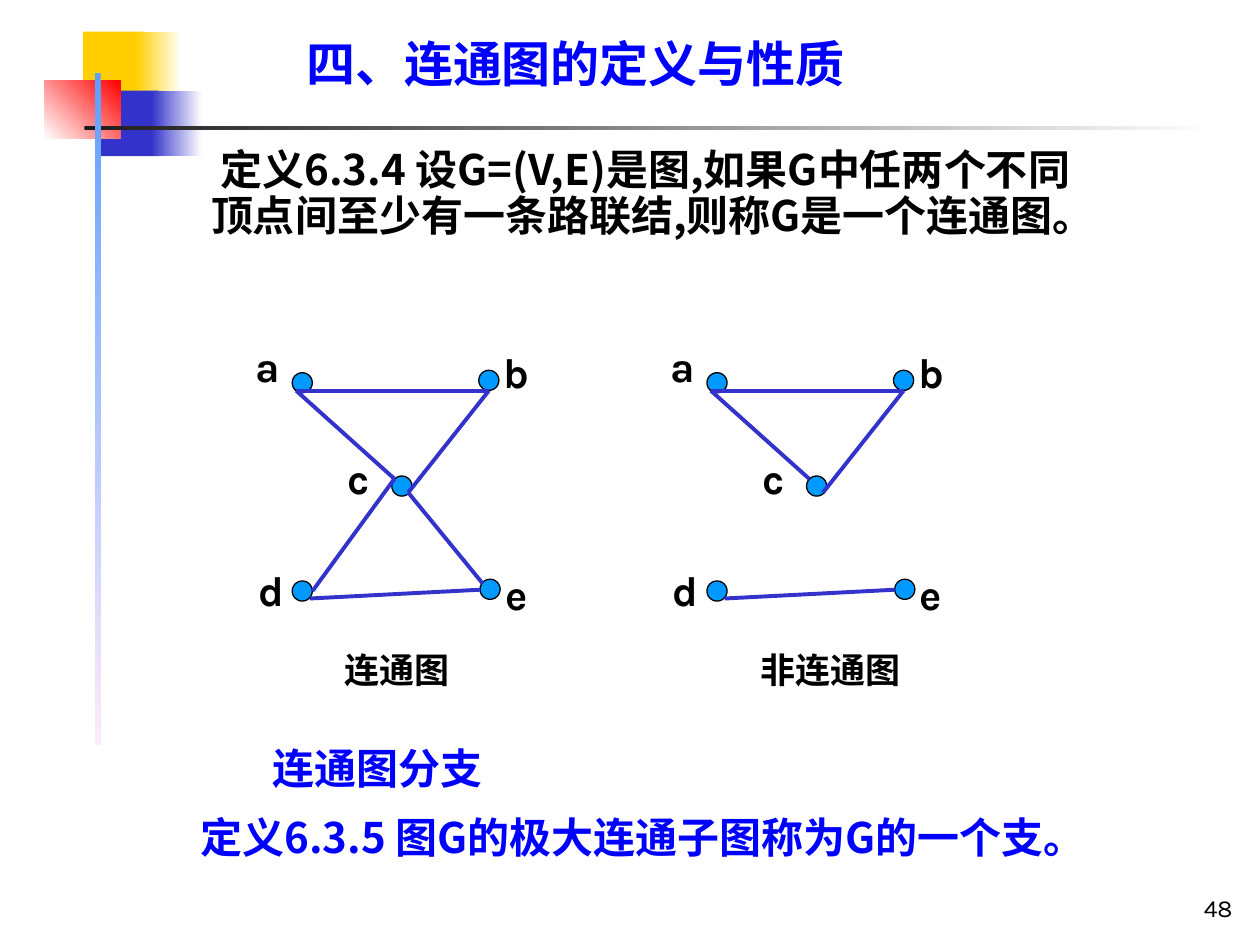
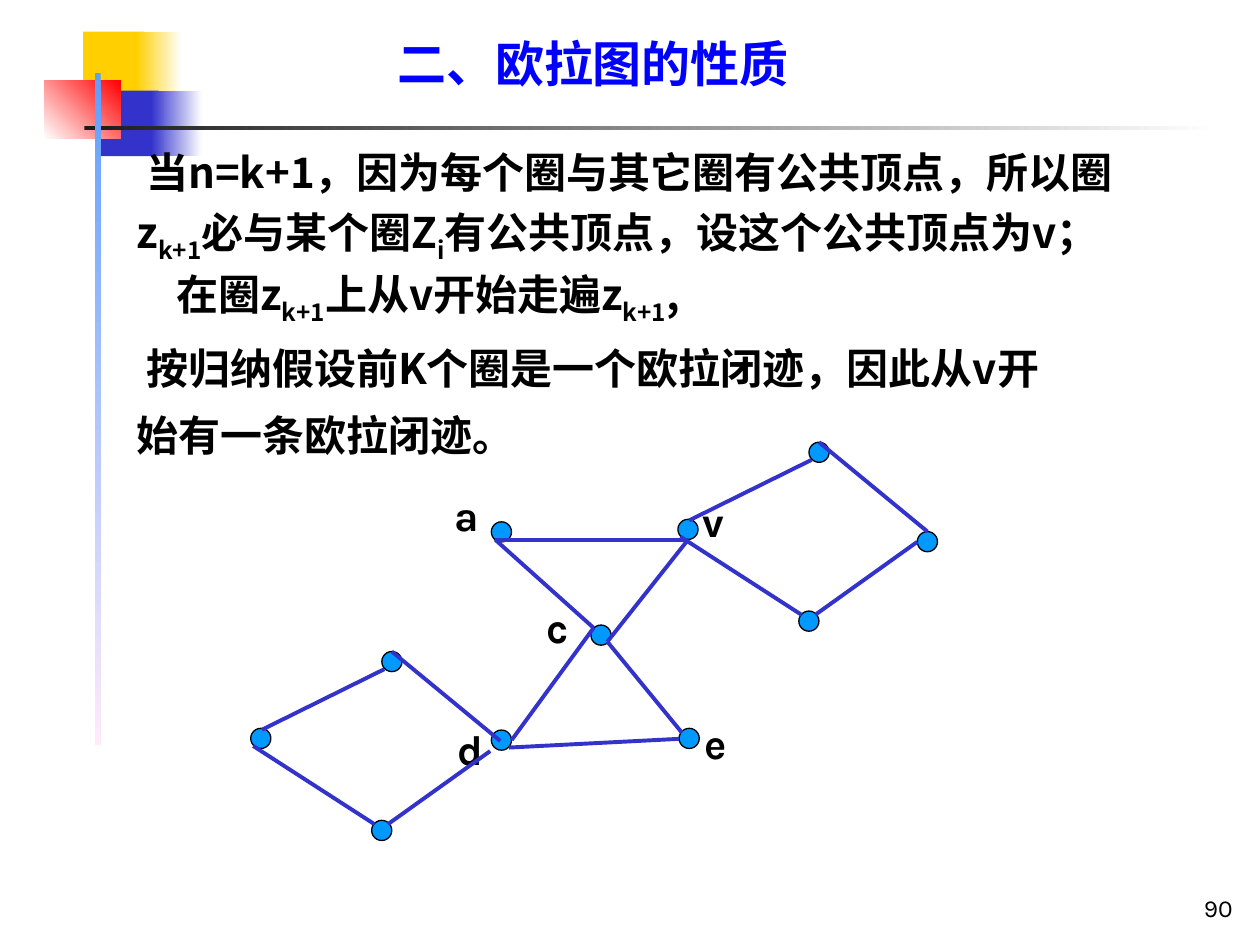
from dataclasses import dataclass
from typing import NamedTuple

from pptx import Presentation
from pptx.dml.color import RGBColor
from pptx.enum.shapes import MSO_CONNECTOR, MSO_SHAPE
from pptx.enum.text import MSO_ANCHOR, PP_ALIGN
from pptx.oxml.ns import qn
from pptx.oxml.xmlchemy import OxmlElement
from pptx.slide import Slide
from pptx.util import Pt

RECTANGLE, OVAL = MSO_SHAPE.RECTANGLE, MSO_SHAPE.OVAL
STRAIGHT = MSO_CONNECTOR.STRAIGHT
TOP, BOTTOM = MSO_ANCHOR.TOP, MSO_ANCHOR.BOTTOM
LEFT, RIGHT = PP_ALIGN.LEFT, PP_ALIGN.RIGHT


@dataclass(frozen=True)
class Theme:
    """Colours, fonts and sizes used on every slide."""

    black: str = "000000"
    white: str = "FFFFFF"
    blue: str = "0000FF"
    edge: str = "3333CC"
    dot: str = "0099FF"
    yellow: str = "FFCF01"
    red: str = "FF0000"
    charcoal: str = "1C1C1C"
    sky: str = "5E9EFF"
    pink: str = "FFEBFA"
    cjk: str = "Noto Sans CJK SC"
    latin: str = "Karla"
    serif: str = "Times New Roman"
    title_size: float = 28
    body_size: float = 24
    caption_size: float = 20
    number_size: float = 14
    dot_size: float = 11.5
    edge_width: float = 2.25
    outline_width: float = 0.75


THEME = Theme()


class Point(NamedTuple):
    """A place on the slide, in points."""

    x: float
    y: float


class Frame(NamedTuple):
    """A rectangle on the slide, in points."""

    left: float
    top: float
    width: float
    height: float


class Edge(NamedTuple):
    """A straight line between two places."""

    start: Point
    end: Point


class Band(NamedTuple):
    """A decorative rectangle, graded when it has an end colour."""

    frame: Frame
    color: str
    end_color: str = ""
    angle: float = 0


class Label(NamedTuple):
    """Offset and width of a vertex name."""

    offset: Point
    width: float


class Span(NamedTuple):
    """A piece of text, optionally a subscript."""

    text: str
    is_subscript: bool = False


@dataclass(frozen=True)
class TextStyle:
    """Look of a text box."""

    size: float
    font: str
    color: str = THEME.black
    bold: bool = True
    line_height: float = 0
    margin_left: float = 0
    first_indent: float = 0
    inset: bool = True
    align: PP_ALIGN = LEFT
    anchor: MSO_ANCHOR = TOP


BODY = {"size": THEME.body_size, "font": THEME.cjk, "margin_left": 27, "inset": False}
DEFINITION = TextStyle(**BODY, line_height=26.3, first_indent=5.4)
BLUE_DEFINITION = TextStyle(**BODY, line_height=26.3, first_indent=5.4, color=THEME.blue)
HEADING = TextStyle(**BODY, line_height=26.3, first_indent=-27, color=THEME.blue)
PROOF = TextStyle(**BODY, line_height=38.5, first_indent=5.4)
PROOF_STEP = TextStyle(**BODY, line_height=38.5, first_indent=-5.4)
VERTEX_NAME = TextStyle(THEME.body_size, THEME.latin)
CAPTION = TextStyle(THEME.caption_size, THEME.latin)
NUMBER = TextStyle(THEME.number_size, THEME.latin, bold=False, align=RIGHT, anchor=BOTTOM)

BANDS = (
    Band(Frame(47.5, 18, 34.6, 37.4), THEME.yellow),
    Band(Frame(77.8, 18, 25.9, 37.4), THEME.yellow, THEME.white),
    Band(Frame(57.6, 51.8, 33.1, 37.4), THEME.edge),
    Band(Frame(86.4, 51.8, 28.8, 37.4), THEME.edge, THEME.white),
    Band(Frame(25.2, 46.1, 43.9, 33.1), THEME.white, THEME.red, 45),
    Band(Frame(48.2, 72, 648, 2.2), THEME.charcoal, THEME.white),
    Band(Frame(54, 41.8, 3.6, 383.8), THEME.sky, THEME.pink, 270),
)

BOWTIE_DOTS = {
    "a": Point(0, 0), "b": Point(106.6, -1.4), "c": Point(56.9, 59),
    "d": Point(0, 119), "e": Point(107.3, 118),
}
BOWTIE_LABELS = {
    "a": Label(Point(-28, -22.2), 28.8), "b": Label(Point(113.8, -18.6), 29.5),
    "c": Label(Point(24.5, 41.9), 26.6), "d": Label(Point(-26.6, 106), 29.5),
    "e": Label(Point(114.5, 108.1), 28.1),
}
BOWTIE_EDGES = {
    "ac": Edge(Point(2.2, 10.2), Point(58.4, 60.6)),
    "bc": Edge(Point(66.3, 68.5), Point(112.4, 10.2)),
    "ab": Edge(Point(2.2, 10.2), Point(112.4, 10.2)),
    "cd": Edge(Point(58.4, 60.6), Point(11.6, 124.7)),
    "de": Edge(Point(10.1, 129), Point(107.3, 124)),
    "ce": Edge(Point(66.3, 68.5), Point(108.8, 120.4)),
}
LOOP_DOTS = {
    "west": Point(0, 0), "south": Point(69.1, 52.6),
    "north": Point(74.9, -43.9), "east": Point(136.8, 7.2),
}
LOOP_EDGES = (
    Edge(Point(6.4, 0.8), Point(76.3, -33.8)),
    Edge(Point(80.6, -43.9), Point(142.6, 7.2)),
    Edge(Point(136.8, 13), Point(78.5, 54.7)),
    Edge(Point(1.4, 10.1), Point(70.6, 54.7)),
)


def shift(origin: Point, offset: Point) -> Point:
    """Return the place at an offset from an origin."""
    return Point(origin.x + offset.x, origin.y + offset.y)


def set_values(target: object, values: dict[str, object]) -> None:
    """Set each named attribute on the target."""
    for name, value in values.items():
        setattr(target, name, value)


def add_text(page: Slide, frame: Frame, spans: tuple[Span, ...], style: TextStyle) -> None:
    """Add a text box with one paragraph."""
    box = page.shapes.add_textbox(*map(Pt, frame))
    across, down = (Pt(7.2), Pt(3.6)) if style.inset else (0, 0)
    set_values(box.text_frame, {
        "word_wrap": True, "vertical_anchor": style.anchor,
        "margin_left": across, "margin_right": across,
        "margin_top": down, "margin_bottom": down,
    })
    para = box.text_frame.paragraphs[0]
    para.alignment = style.align
    if style.line_height:
        para.line_spacing = Pt(style.line_height)
    properties = para._p.get_or_add_pPr()
    properties.set("marL", str(Pt(style.margin_left)))
    properties.set("indent", str(Pt(style.first_indent)))
    for span in spans:
        run = para.add_run()
        run.text = span.text
        set_values(run.font, {"name": style.font, "size": Pt(style.size), "bold": style.bold})
        run.font.color.rgb = RGBColor.from_string(style.color)
        run_properties = run._r.get_or_add_rPr()
        east_asian = OxmlElement("a:ea")
        east_asian.set("typeface", THEME.cjk)
        run_properties.find(qn("a:latin")).addnext(east_asian)
        if span.is_subscript:
            run_properties.set("baseline", "-25000")


def add_band(page: Slide, band: Band) -> None:
    """Add one decorative rectangle."""
    shape = page.shapes.add_shape(RECTANGLE, *map(Pt, band.frame))
    shape.shadow.inherit = False
    shape.line.fill.background()
    if band.end_color:
        shape.fill.gradient()
        shape.fill.gradient_angle = band.angle
        for stop, color in zip(shape.fill.gradient_stops, (band.color, band.end_color)):
            stop.color.rgb = RGBColor.from_string(color)
    else:
        shape.fill.solid()
        shape.fill.fore_color.rgb = RGBColor.from_string(band.color)


def add_dot(page: Slide, place: Point) -> None:
    """Add a graph vertex."""
    dot = page.shapes.add_shape(OVAL, *map(Pt, (*place, THEME.dot_size, THEME.dot_size)))
    dot.shadow.inherit = False
    dot.fill.solid()
    dot.fill.fore_color.rgb = RGBColor.from_string(THEME.dot)
    dot.line.color.rgb = RGBColor.from_string(THEME.black)
    dot.line.width = Pt(THEME.outline_width)


def add_edge(page: Slide, origin: Point, edge: Edge) -> None:
    """Add a graph edge placed from an origin."""
    ends = (*shift(origin, edge.start), *shift(origin, edge.end))
    line = page.shapes.add_connector(STRAIGHT, *map(Pt, ends))
    line.line.color.rgb = RGBColor.from_string(THEME.edge)
    line.line.width = Pt(THEME.edge_width)
    line._element.spPr.append(OxmlElement("a:effectLst"))


def add_bowtie(page: Slide, origin: Point, edges: tuple[str, ...], names: str = "abcde",
               d_drop: float = 0) -> None:
    """Add the five-vertex graph with the chosen edges."""
    for offset in BOWTIE_DOTS.values():
        add_dot(page, shift(origin, offset))
    for name, (key, label) in zip(names, BOWTIE_LABELS.items()):
        place = shift(origin, label.offset)
        drop = d_drop if key == "d" else 0
        frame = Frame(place.x, place.y + drop, label.width, 36)
        add_text(page, frame, (Span(name),), VERTEX_NAME)
    for key in edges:
        add_edge(page, origin, BOWTIE_EDGES[key])


def add_loop(page: Slide, origin: Point, corners: tuple[str, ...]) -> None:
    """Add a four-sided cycle with dots on the chosen corners."""
    for corner in corners:
        add_dot(page, shift(origin, LOOP_DOTS[corner]))
    for edge in LOOP_EDGES:
        add_edge(page, origin, edge)


def add_page(deck: Presentation, title: str, left: float, font: str, number: str) -> Slide:
    """Add a slide with the shared bands, title and page number."""
    page = deck.slides.add_slide(deck.slide_layouts[6])
    for band in BANDS:
        add_band(page, band)
    style = TextStyle(THEME.title_size, font, THEME.blue, line_height=30, inset=False)
    add_text(page, Frame(left, 23, 361, 30), (Span(title),), style)
    add_text(page, Frame(561.6, 494.6, 149.8, 36), (Span(number),), NUMBER)
    return page


def build_connected(deck: Presentation) -> None:
    """Build the slide on connected graphs."""
    page = add_page(deck, "四、连通图的定义与性质", 175, THEME.serif, "48")
    definition = "定义6.3.4 设G=(V,E)是图,如果G中任两个不同顶点间至少有一条路联结,则称G是一个连通图。"
    add_text(page, Frame(93.6, 84.6, 532.8, 78), (Span(definition),), DEFINITION)
    add_bowtie(page, Point(167, 213), tuple(BOWTIE_EDGES))
    add_bowtie(page, Point(404, 213), ("ac", "bc", "ab", "de"))
    for left, caption in ((190, "连通图"), (427.5, "非连通图")):
        add_text(page, Frame(left, 367.2, 110, 32), (Span(caption),), CAPTION)
    add_text(page, Frame(155.5, 427, 163.4, 26), (Span("连通图分支"),), HEADING)
    branch = "定义6.3.5 图G的极大连通子图称为G的一个支。"
    add_text(page, Frame(82.1, 466.2, 572.4, 52), (Span(branch),), BLUE_DEFINITION)


def build_euler(deck: Presentation) -> None:
    """Build the slide on Euler graphs."""
    page = add_page(deck, "二、欧拉图的性质", 227, THEME.cjk, "90")
    suffix = Span("k+1", True)
    shared = (
        Span("当n=k+1，因为每个圈与其它圈有公共顶点，所以圈z"), suffix,
        Span("必与某个圈Z"), Span("i", True), Span("有公共顶点，设这个公共顶点为v；"),
    )
    walk = (Span("在圈z"), suffix, Span("上从v开始走遍z"), suffix, Span(","))
    closing = (Span("按归纳假设前K个圈是一个欧拉闭迹，因此从v开始有一条欧拉闭迹。"),)
    add_text(page, Frame(51.1, 74, 609.8, 80), shared, PROOF)
    add_text(page, Frame(79.2, 148, 408.2, 42), walk, PROOF_STEP)
    add_text(page, Frame(51.1, 186, 561.6, 77), closing, PROOF)
    add_bowtie(page, Point(280.8, 298.2), tuple(BOWTIE_EDGES), "avcde", 5.8)
    add_loop(page, Point(387.4, 296.6), ("south", "north", "east"))
    add_loop(page, Point(143.3, 416.2), ("west", "south", "north"))


def main() -> None:
    """Build and save the deck."""
    deck = Presentation()
    deck.slide_width, deck.slide_height = Pt(720), Pt(540)
    build_connected(deck)
    build_euler(deck)
    deck.save("out.pptx")


if __name__ == "__main__":
    main()
